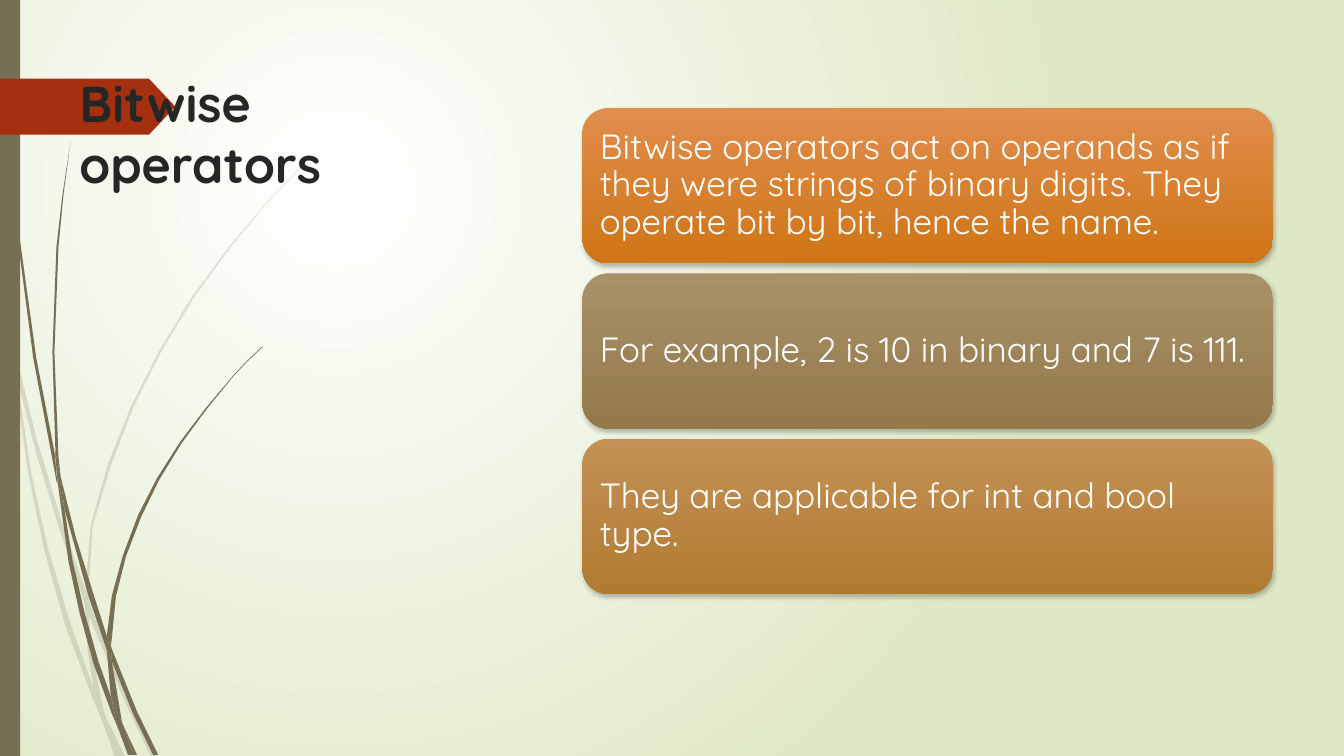
from dataclasses import dataclass
from lxml.etree import SubElement
from pptx import Presentation
from pptx.dml.color import RGBColor
from pptx.enum.shapes import MSO_SHAPE
from pptx.enum.text import MSO_ANCHOR, PP_ALIGN
from pptx.oxml.ns import qn
from pptx.util import Pt


@dataclass(frozen=True)
class Theme:
    font: str = "Quicksand"
    head: int = 36
    body: int = 25
    ink: str = "262626"
    light: str = "FFFFFF"
    stem: str = "766F54"
    tag: str = "A53010"
    back: tuple = ("FFFFFF", "DFE8C4")
    cards: tuple = (("E18D4C", "CF7516"), ("A89068", "947A4B"), ("C49156", "B17B31"))


THEME = Theme()
UNIT = 0.72

NOTES = (
    "Bitwise operators act on operands as if they were strings of binary digits. "
    "They operate bit by bit, hence the name.",
    "For example, 2 is 10 in binary and 7 is 111.",
    "They are applicable for int and bool type.",
)

PALE = (
    ((11, 350), (9, 322), (0, 282), (0, 299), (10, 344)),
    ((58, 522), (84, 599), (85, 586), (62, 520), (36, 434), (14, 345), (17, 376), (36, 450)),
    ((92, 607), (88, 596), (88, 610), (123, 694), (150, 751), (155, 751), (127, 692)),
    ((119, 751), (124, 751), (105, 711)),
    ((93, 683), (70, 619), (48, 545), (31, 469), (17, 376), (11, 350), (28, 470),
     (44, 546), (65, 621), (92, 693), (101, 714), (99, 707)),
    ((84, 599), (87, 646), (93, 683), (96, 692), (105, 711), (103, 706), (91, 646),
     (88, 610), (88, 608)),
    ((88, 584), (92, 522), (110, 462), (132, 405), (160, 349), (192, 296), (229, 245),
     (268, 198), (290, 175), (312, 154), (312, 153), (289, 175), (268, 197), (228, 244),
     (190, 295), (158, 348), (130, 403), (107, 461), (90, 521), (85, 584), (85, 586),
     (88, 596)),
    ((101, 714), (114, 751), (119, 751)),
    ((88, 608), (88, 596), (85, 586), (84, 599)),
    ((96, 692), (93, 683), (99, 707), (101, 714), (119, 751), (105, 711)),
)

DARK = (
    ((7, 110), (17, 233), (33, 355), (56, 477), (57, 481), (55, 457), (55, 453),
     (36, 355), (19, 232), (8, 109), (5, 48), (4, 0), (3, 0), (4, 48)),
    ((88, 592), (106, 645), (106, 631), (93, 590), (75, 532), (60, 472), (64, 505)),
    ((113, 649), (110, 641), (111, 656), (132, 708), (152, 749), (157, 749), (136, 706)),
    ((110, 691), (98, 657), (84, 608), (72, 556), (64, 505), (57, 477), (68, 557),
     (79, 608), (93, 659), (111, 708), (117, 722), (116, 717)),
    ((60, 472), (58, 453), (54, 349), (58, 245), (63, 193), (70, 141), (62, 193),
     (56, 245), (52, 349), (55, 449)),
    ((133, 749), (136, 749), (122, 719)),
    ((57, 477), (64, 505), (60, 472), (55, 449), (55, 453)),
    ((111, 633), (115, 592), (125, 552), (140, 513), (158, 476), (180, 440), (205, 406),
     (231, 374), (245, 359), (261, 344), (260, 344), (245, 358), (231, 373), (204, 405),
     (179, 438), (156, 474), (137, 511), (122, 551), (111, 591), (106, 631), (110, 641)),
    ((117, 722), (127, 749), (131, 749)),
    ((106, 645), (110, 691), (116, 706), (122, 719), (121, 716), (111, 656), (109, 651)),
    ((106, 645), (109, 651), (111, 656), (110, 641), (106, 631)),
    ((116, 706), (110, 691), (116, 717), (117, 722), (130, 749), (133, 749), (122, 719)),
)


def blend(fill, pair):
    fill.gradient()
    for stop, tint in zip(fill.gradient_stops, pair):
        stop.color.rgb = RGBColor.from_string(tint)


def paint(shape, tint):
    shape.shadow.inherit = False
    shape.line.fill.background()
    shape.fill.solid()
    shape.fill.fore_color.rgb = RGBColor.from_string(tint)


def write(frame, text, size, tint, bold=False):
    frame.word_wrap = True
    para = frame.paragraphs[0]
    para.text = text
    para.alignment = PP_ALIGN.LEFT
    para.font.name = THEME.font
    para.font.size = Pt(size)
    para.font.bold = bold
    para.font.color.rgb = RGBColor.from_string(tint)
    return para


def draw_back(slide):
    blend(slide.background.fill, THEME.back)
    grad = slide.element.find(".//" + qn("a:gradFill"))
    grad.remove(grad.find(qn("a:lin")))
    ring = SubElement(grad, qn("a:path"), path="circle")
    SubElement(ring, qn("a:fillToRect"), l="50000", t="50000", r="100000", b="100000")


def draw_wisps(slide, left, top, blades, alpha=100):
    for start, *rest in blades:
        pen = slide.shapes.build_freeform(*start, scale=Pt(UNIT))
        pen.add_line_segments(rest)
        blade = pen.convert_to_shape(Pt(left), Pt(top))
        paint(blade, THEME.stem)
        if alpha < 100:
            tint = blade.element.spPr.find(".//" + qn("a:srgbClr"))
            SubElement(tint, qn("a:alpha"), val=str(alpha * 1000))


def draw_side(slide, left, top, width, height):
    draw_wisps(slide, left, top, PALE, 20)
    draw_wisps(slide, left, top, DARK)
    bar = slide.shapes.add_shape(
        MSO_SHAPE.RECTANGLE, Pt(left), Pt(top), Pt(width), Pt(height))
    paint(bar, THEME.stem)
    tag = slide.shapes.add_shape(
        MSO_SHAPE.PENTAGON, Pt(left), Pt(top + 56.2), Pt(125.2), Pt(40))
    tag.adjustments[0] = 0.47
    paint(tag, THEME.tag)


def draw_title(slide, left, top, width, height):
    box = slide.shapes.add_textbox(Pt(left), Pt(top), Pt(width), Pt(height))
    write(box.text_frame, "Bitwise operators", THEME.head, THEME.ink, True)


def draw_cards(slide, left, top, width, height, gap=7.2):
    tall = (height - gap * (len(NOTES) - 1)) / len(NOTES)
    for row, (note, pair) in enumerate(zip(NOTES, THEME.cards)):
        card = slide.shapes.add_shape(
            MSO_SHAPE.ROUNDED_RECTANGLE, Pt(left), Pt(top + row * (tall + gap)),
            Pt(width), Pt(tall))
        card.line.fill.background()
        blend(card.fill, pair)
        card.fill.gradient_angle = 270
        card.shadow.inherit = False
        glow = SubElement(
            card.element.spPr.find(qn("a:effectLst")), qn("a:outerShdw"),
            blurRad=str(Pt(3)), dist=str(Pt(2)), dir="5400000", rotWithShape="0")
        shade = SubElement(glow, qn("a:srgbClr"), val="000000")
        SubElement(shade, qn("a:alpha"), val="25000")
        frame = card.text_frame
        frame.vertical_anchor = MSO_ANCHOR.MIDDLE
        frame.margin_top = frame.margin_bottom = Pt(7.2)
        write(frame, note, THEME.body, THEME.light).line_spacing = 0.9


def main():
    deck = Presentation()
    deck.slide_width, deck.slide_height = Pt(960), Pt(540)
    slide = deck.slides.add_slide(deck.slide_layouts[6])
    draw_back(slide)
    draw_side(slide, 0, 0, 14.4, 540)
    draw_title(slide, 49.7, 48.2, 268.6, 415.4)
    draw_cards(slide, 416, 77.2, 493.2, 347)
    deck.save("out.pptx")


if __name__ == "__main__":
    main()
